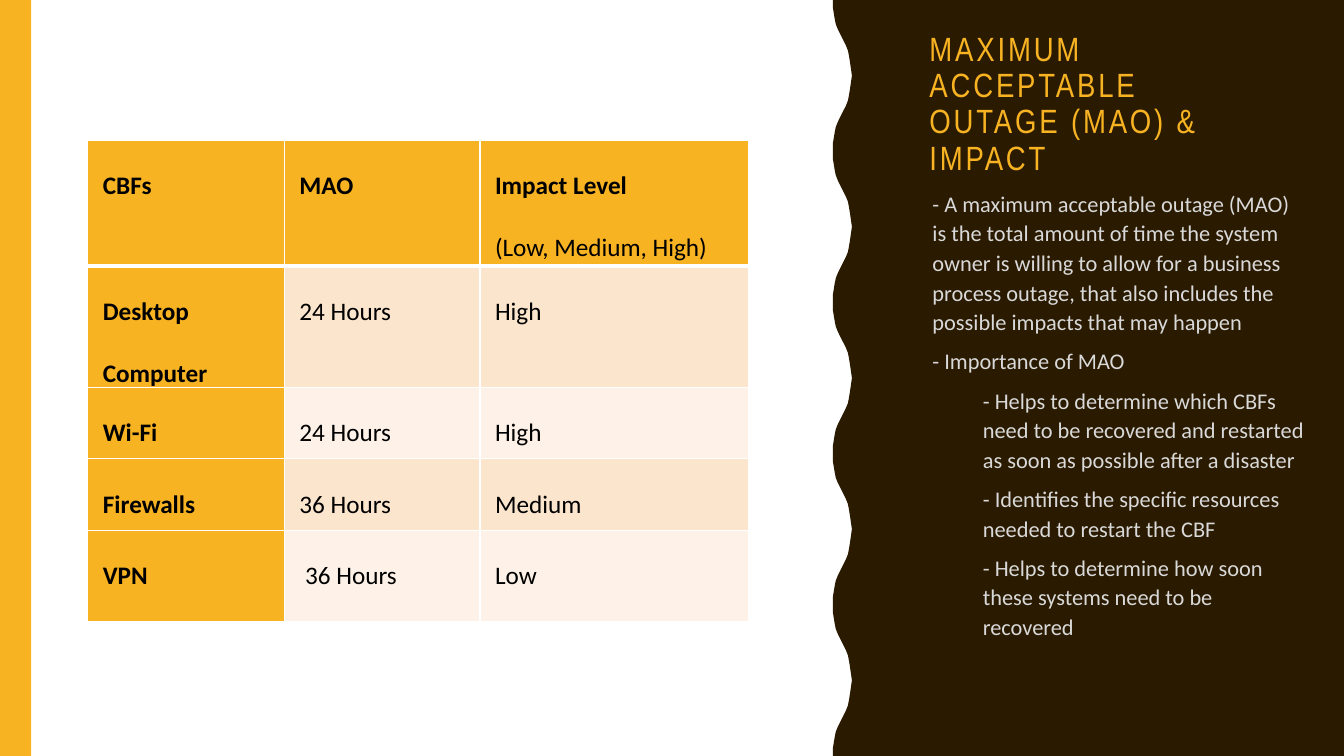
from dataclasses import dataclass

from lxml.etree import SubElement
from pptx import Presentation
from pptx.dml.color import RGBColor
from pptx.enum.text import MSO_ANCHOR
from pptx.enum.shapes import MSO_SHAPE
from pptx.oxml.ns import qn
from pptx.shapes.base import BaseShape
from pptx.slide import Slide
from pptx.table import _Cell
from pptx.text.text import TextFrame, _Paragraph
from pptx.util import Inches, Pt


@dataclass(frozen=True)
class Theme:
    gold: str = "F8B323"
    brown: str = "2A1A00"
    white: str = "FFFFFF"
    black: str = "000000"
    pale_text: str = "D9D9D9"
    bands: tuple[str, str] = ("FCE5CD", "FEF2E8")
    title_font: str = "Arial Narrow"
    body_font: str = "Calibri"
    title_size: int = 24
    table_size: int = 18
    body_size: int = 16
    thin_border: int = 1
    header_border: int = 3


@dataclass(frozen=True)
class Box:
    left: float
    top: float
    width: float
    height: float

    def emu(self) -> tuple[Inches, ...]:
        return tuple(Inches(n) for n in (self.left, self.top, self.width, self.height))


@dataclass(frozen=True)
class BusinessFunction:
    name: str
    outage: str
    impact: str
    height: float


@dataclass(frozen=True)
class Point:
    text: str
    indent: float = 0.25


THEME = Theme()
SLIDE = Box(0, 0, 13.33, 7.5)
GOLD_BAR = Box(0, 0, 0.31, 7.5)
TITLE_BOX = Box(9.12, 0.5, 3.38, 1.31)
POINTS_BOX = Box(8.9, 1.81, 4.15, 5.19)
TABLE_BOX = Box(0.87, 1.39, 6.55, 4.71)
COLUMN_WIDTHS = (1.95, 1.94, 2.66)

PANEL_LEFT = 8.26
WAVE_COUNT = 5
# Half a wave as (x offset, y offset), from trough to crest
HALF_WAVE = (
    (0, 0), (0, 0.07), (0.01, 0.13), (0.02, 0.19), (0.03, 0.24),
    (0.05, 0.29), (0.07, 0.33), (0.11, 0.41), (0.13, 0.45), (0.15, 0.5),
    (0.16, 0.55), (0.17, 0.61), (0.18, 0.68), (0.19, 0.75),
)

TITLE = "MAXIMUM ACCEPTABLE OUTAGE (MAO) & IMPACT"
POINTS = (
    Point("- A maximum acceptable outage (MAO) is the total amount of time the system "
          "owner is willing to allow for a business process outage, that also includes "
          "the possible impacts that may happen"),
    Point("- Importance of MAO"),
    Point("- Helps to determine which CBFs need to be recovered and restarted "
          "as soon as possible after a disaster", 0.75),
    Point("- Identifies the specific resources needed to restart the CBF", 0.75),
    Point("- Helps to determine how soon these systems need to be recovered", 0.75),
)
FUNCTIONS = (
    BusinessFunction("CBFs", "MAO", "Impact Level\n(Low, Medium, High)", 1.25),
    BusinessFunction("Desktop Computer", "24 Hours", "High", 1.13),
    BusinessFunction("Wi-Fi", "24 Hours", "High", 0.71),
    BusinessFunction("Firewalls", "36 Hours", "Medium", 0.71),
    BusinessFunction("VPN", " 36 Hours", "Low", 0.91),
)


def apply(target: object, formats: dict[str, object]) -> None:
    for attribute, value in formats.items():
        setattr(target, attribute, value)


def paint(shape: BaseShape, color: str) -> None:
    shape.shadow.inherit = False
    shape.fill.solid()
    shape.fill.fore_color.rgb = RGBColor.from_string(color)
    shape.line.fill.background()


def write(paragraph: _Paragraph, text: str, color: str,
          spacing: dict[str, object], font: dict[str, object]) -> None:
    apply(paragraph, spacing)
    run = paragraph.add_run()
    run.text = text
    apply(run.font, font)
    run.font.color.rgb = RGBColor.from_string(color)


def add_text_frame(slide: Slide, box: Box, anchor: MSO_ANCHOR) -> TextFrame:
    frame = slide.shapes.add_textbox(*box.emu()).text_frame
    apply(frame, {"word_wrap": True, "vertical_anchor": anchor})
    return frame


def add_wavy_panel(slide: Slide) -> None:
    """Draw the dark panel whose left edge runs down in mirrored half waves."""
    wavelength = SLIDE.height / WAVE_COUNT
    full_wave = HALF_WAVE + tuple((x, wavelength - y) for x, y in HALF_WAVE[-2::-1])
    edge = [(PANEL_LEFT + x, wave * wavelength + y)
            for wave in range(WAVE_COUNT) for x, y in full_wave]
    outline = edge + [(SLIDE.width, SLIDE.height), (SLIDE.width, 0)]
    start, *rest = [(Inches(x), Inches(y)) for x, y in outline]
    builder = slide.shapes.build_freeform(*start)
    builder.add_line_segments(rest, close=True)
    paint(builder.convert_to_shape(), THEME.brown)


def add_title(slide: Slide) -> None:
    paragraph = add_text_frame(slide, TITLE_BOX, MSO_ANCHOR.BOTTOM).paragraphs[0]
    write(paragraph, TITLE, THEME.gold, {"line_spacing": 0.9},
          {"name": THEME.title_font, "size": Pt(THEME.title_size)})
    paragraph.runs[0]._r.get_or_add_rPr().set("spc", "200")


def add_points(slide: Slide) -> None:
    frame = add_text_frame(slide, POINTS_BOX, MSO_ANCHOR.TOP)
    for index, point in enumerate(POINTS):
        paragraph = frame.add_paragraph() if index else frame.paragraphs[0]
        write(paragraph, point.text, THEME.pale_text,
              {"line_spacing": 1.1, "space_before": Pt(7)},
              {"name": THEME.body_font, "size": Pt(THEME.body_size)})
        properties = paragraph._p.get_or_add_pPr()
        properties.set("marL", str(Inches(point.indent)))
        properties.set("indent", "0")


def set_borders(cell: _Cell, row: int) -> None:
    """Draw white borders, heavier between the header and the first row."""
    widths = dict.fromkeys(("lnL", "lnR", "lnT", "lnB"), THEME.thin_border)
    if row < 2:
        widths["lnT" if row else "lnB"] = THEME.header_border
    properties = cell._tc.get_or_add_tcPr()
    for position, (side, width) in enumerate(widths.items()):
        border = SubElement(properties, qn(f"a:{side}"), w=str(Pt(width)))
        fill = SubElement(border, qn("a:solidFill"))
        SubElement(fill, qn("a:srgbClr"), val=THEME.white)
        properties.insert(position, border)


def fill_cell(cell: _Cell, text: str, row: int, column: int) -> None:
    heading = row == 0 or column == 0
    apply(cell, {"margin_left": Inches(0.15), "margin_right": Inches(0.15),
                 "margin_top": 0, "margin_bottom": 0})
    cell.fill.solid()
    color = THEME.gold if heading else THEME.bands[(row - 1) % 2]
    cell.fill.fore_color.rgb = RGBColor.from_string(color)
    set_borders(cell, row)
    frame = cell.text_frame
    for index, line in enumerate(text.split("\n")):
        paragraph = frame.add_paragraph() if index else frame.paragraphs[0]
        write(paragraph, line, THEME.black, {"line_spacing": 2.0},
              {"name": THEME.body_font, "size": Pt(THEME.table_size),
               "bold": heading and index == 0})


def add_outage_table(slide: Slide) -> None:
    table = slide.shapes.add_table(len(FUNCTIONS), len(COLUMN_WIDTHS), *TABLE_BOX.emu()).table
    apply(table, {"first_row": False, "horz_banding": False})
    for column, width in zip(table.columns, COLUMN_WIDTHS):
        column.width = Inches(width)
    for row, function in enumerate(FUNCTIONS):
        table.rows[row].height = Inches(function.height)
        for column, text in enumerate((function.name, function.outage, function.impact)):
            fill_cell(table.cell(row, column), text, row, column)


def main() -> None:
    presentation = Presentation()
    apply(presentation, {"slide_width": Inches(SLIDE.width),
                         "slide_height": Inches(SLIDE.height)})
    slide = presentation.slides.add_slide(presentation.slide_layouts[6])
    paint(slide.shapes.add_shape(MSO_SHAPE.RECTANGLE, *GOLD_BAR.emu()), THEME.gold)
    add_wavy_panel(slide)
    add_title(slide)
    add_points(slide)
    add_outage_table(slide)
    presentation.save("out.pptx")


if __name__ == "__main__":
    main()
